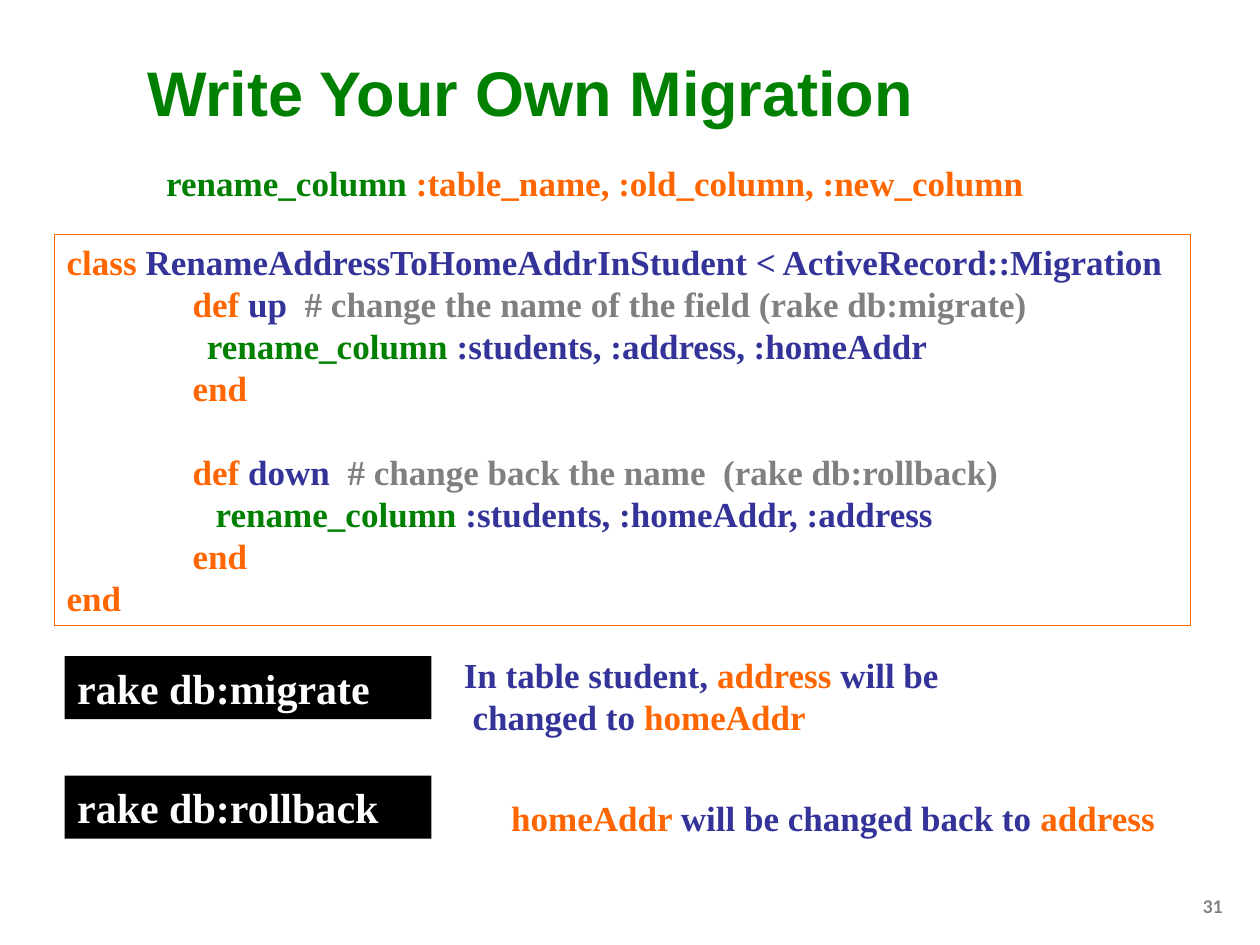
from pptx import Presentation
from pptx.dml.color import RGBColor
from pptx.enum.shapes import MSO_SHAPE
from pptx.enum.text import MSO_ANCHOR, PP_ALIGN
from pptx.oxml.ns import qn
from pptx.util import Pt
from lxml.etree import SubElement

COLORS = {"green": "008000", "orange": "FF6600", "navy": "333399",
          "gray": "808080", "white": "FFFFFF", "black": "000000"}
SERIF = "Times New Roman"

# Content: each line is a list of (text, colour) runs
TITLE = [[("Write Your Own Migration", "green")]]
SYNTAX = [[("rename_column", "green"),
           (" :table_name, :old_column, :new_column", "orange")]]
CODE = [
    [("class", "orange"),
     (" RenameAddressToHomeAddrInStudent < ActiveRecord::Migration", "navy")],
    [("  \t", "navy"), ("def ", "orange"), ("up  ", "navy"),
     ("# change the name of the field (rake db:migrate)", "gray")],
    [("                ", "navy"), ("rename_column", "green"),
     (" :students, :address, :homeAddr", "navy")],
    [("  \t", "navy"), ("end", "orange")],
    [("", "navy")],
    [("  \t", "navy"), ("def ", "orange"), ("down  ", "navy"),
     ("# change back the name  (rake db:rollback)", "gray")],
    [("                 ", "navy"), ("rename_column", "green"),
     (" :students, :homeAddr, :address", "navy")],
    [("  \t", "navy"), ("end", "orange")],
    [("end", "orange")],
]
COMMANDS = ["rake db:migrate", "rake db:rollback"]
MIGRATE_NOTE = [
    [("In table student, ", "navy"), ("address", "orange"), (" will be", "navy")],
    [(" changed to ", "navy"), ("homeAddr", "orange")],
]
ROLLBACK_NOTE = [[("homeAddr ", "orange"), ("will be changed back to ", "navy"),
                  ("address", "orange")]]
PAGE = [[("31", "gray")]]

prs = Presentation()
prs.slide_width, prs.slide_height = Pt(720), Pt(540)
s = prs.slides.add_slide(prs.slide_layouts[6])


def rgb(name):
    return RGBColor.from_string(COLORS[name])


def add_tab_stop(p, pos):
    tabs = SubElement(p._p.get_or_add_pPr(), qn("a:tabLst"))
    SubElement(tabs, qn("a:tab"), pos=str(pos), algn="l")


def write(sp, lines, size=20, font=SERIF, align=PP_ALIGN.LEFT,
          anchor=MSO_ANCHOR.TOP):
    tf = sp.text_frame
    tf.word_wrap = True
    tf.vertical_anchor = anchor
    for i, line in enumerate(lines):
        p = tf.paragraphs[0] if i == 0 else tf.add_paragraph()
        p.alignment = align
        p.line_spacing = Pt(size * 1.2)
        if any("\t" in text for text, _ in line):
            add_tab_stop(p, Pt(72))
        for text, color in line:
            r = p.add_run()
            r.text = text
            r.font.name, r.font.size, r.font.bold = font, Pt(size), True
            r.font.color.rgb = rgb(color)


def add_text(box, lines, **style):
    write(s.shapes.add_textbox(*map(Pt, box)), lines, **style)


def add_box(box, lines, fill=None, line=None, **style):
    sp = s.shapes.add_shape(MSO_SHAPE.RECTANGLE, *map(Pt, box))
    sp.shadow.inherit = False
    if fill:
        sp.fill.solid()
        sp.fill.fore_color.rgb = rgb(fill)
    else:
        sp.fill.background()
    if line:
        sp.line.color.rgb = rgb(line)
        sp.line.width = Pt(0.75)
    else:
        sp.line.fill.background()
    write(sp, lines, **style)


# Slide number, title and method syntax
add_text((655, 508.5, 51, 20), PAGE, size=10, font="Lato", align=PP_ALIGN.RIGHT)
add_text((77, 21, 612, 62), TITLE, size=36, font="Arial", anchor=MSO_ANCHOR.MIDDLE)
add_text((54, 88.5, 572, 31.5), SYNTAX, align=PP_ALIGN.CENTER)

# Migration class
add_box((31, 134, 649.5, 223.5), CODE, line="orange")

# Commands and what each one does
for i, command in enumerate(COMMANDS):
    add_box((37, 375 + i * 68.25, 209.5, 36), [[(command, "white")]],
            fill="black", size=24)
add_text((258, 370, 363, 55.5), MIGRATE_NOTE)
add_text((252, 451.5, 448, 31.5), ROLLBACK_NOTE, align=PP_ALIGN.CENTER)

prs.save("out.pptx")
